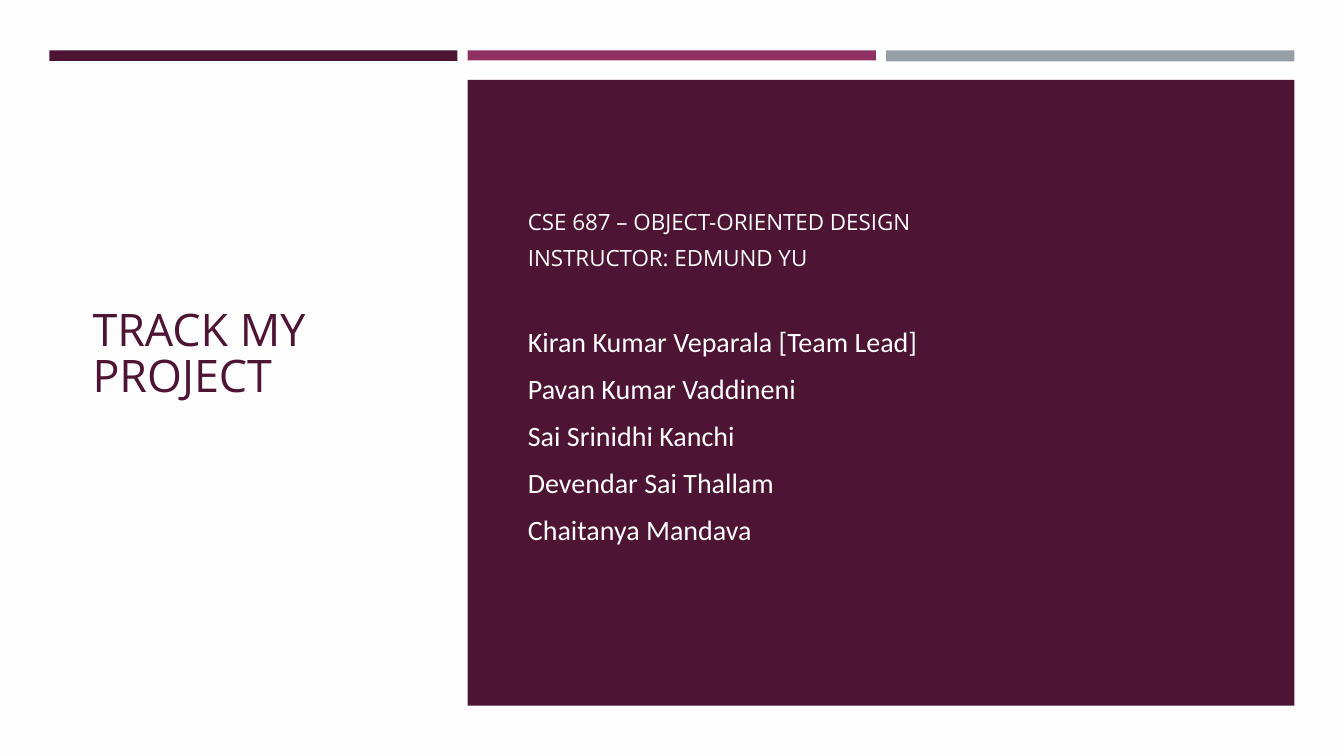
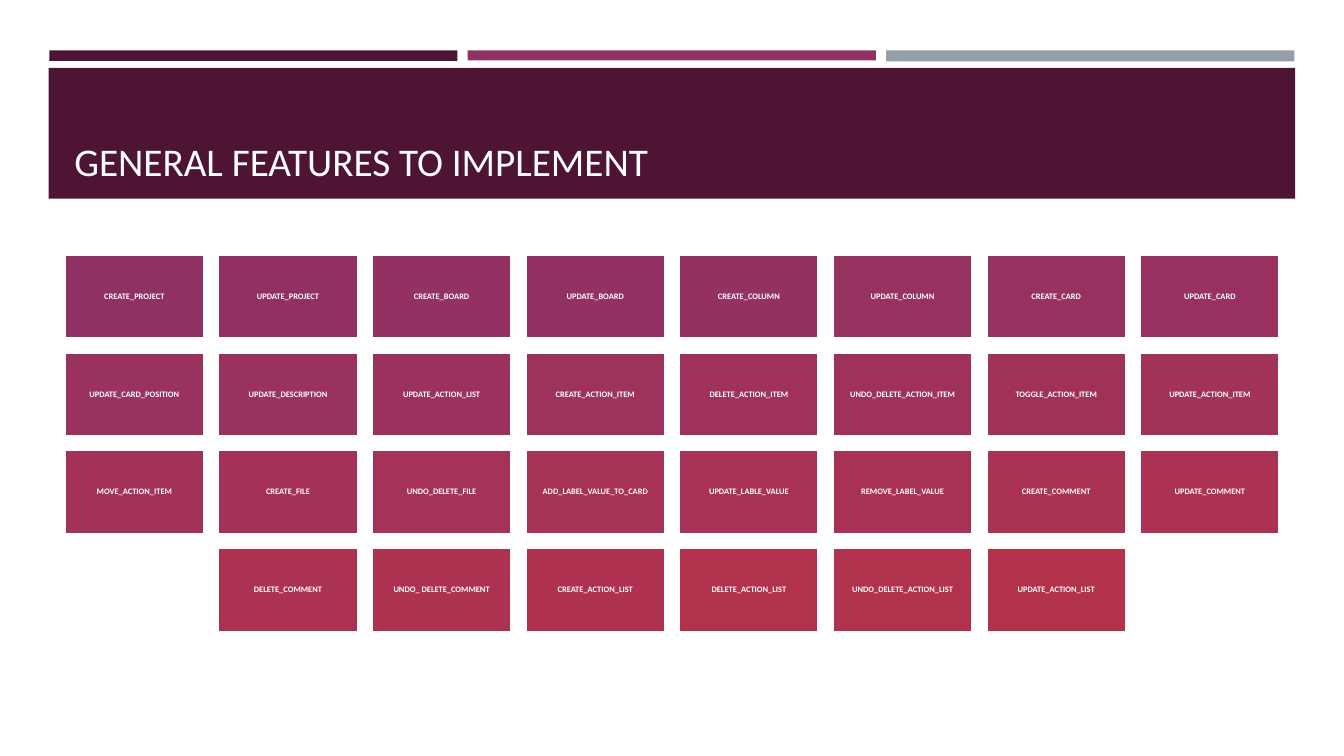
import colorsys

from pptx import Presentation
from pptx.dml.color import RGBColor
from pptx.enum.shapes import MSO_SHAPE
from pptx.enum.text import MSO_ANCHOR, PP_ALIGN
from pptx.util import Pt

RECTANGLE = MSO_SHAPE.RECTANGLE
MIDDLE, BOTTOM = MSO_ANCHOR.MIDDLE, MSO_ANCHOR.BOTTOM
LEFT, CENTER = PP_ALIGN.LEFT, PP_ALIGN.CENTER

PLUM = RGBColor(0x4D, 0x14, 0x34)
MAGENTA = RGBColor(0x90, 0x31, 0x63)
CRIMSON = RGBColor(0xB2, 0x32, 0x4B)
GREY = RGBColor(0x96, 0x9F, 0xA7)
WHITE = RGBColor(0xFF, 0xFF, 0xFF)
OFF_WHITE = RGBColor(0xFF, 0xFE, 0xFF)

BODY_FONT, DISPLAY_FONT = "Calibri", "Open Sans"
BAND_LEFT, BAND_TOP, BAND_WIDTH, BAND_STEP = 35.2, 36, 291.6, 298.9


def add_block(page, left, top, width, height, color):
    block = page.shapes.add_shape(RECTANGLE, Pt(left), Pt(top), Pt(width), Pt(height))
    block.shadow.inherit = False
    block.fill.solid()
    block.fill.fore_color.rgb = color
    block.line.fill.background()
    return block


def write(box, lines, anchor, align=LEFT):
    """Each line is (text, font name, size, colour, space before)."""
    frame = box.text_frame
    frame.word_wrap = True
    frame.vertical_anchor = anchor
    for index, (text, font_name, size, color, gap) in enumerate(lines):
        para = frame.add_paragraph() if index else frame.paragraphs[0]
        para.text = text
        para.alignment = align
        para.space_before = Pt(gap)
        para.font.name = font_name
        para.font.size = Pt(size)
        para.font.color.rgb = color
    return frame


deck = Presentation()
deck.slide_width, deck.slide_height = Pt(960), Pt(540)
cover, features = [deck.slides.add_slide(deck.slide_layouts[6]) for _ in range(2)]

# Three bands across the top of every slide
for page in (cover, features):
    for column, (color, height) in enumerate([(PLUM, 7.5), (MAGENTA, 7.2), (GREY, 7.9)]):
        add_block(page, BAND_LEFT + column * BAND_STEP, BAND_TOP, BAND_WIDTH, height, color)

# Cover: title on the left, course and team on the panel
cover.background.fill.solid()
cover.background.fill.fore_color.rgb = OFF_WHITE
add_block(cover, BAND_LEFT + BAND_STEP, 57, BAND_STEP + BAND_WIDTH, 447, PLUM)

title = cover.shapes.add_textbox(Pt(59), Pt(84), Pt(240), Pt(340))
frame = write(title, [("TRACK MY PROJECT", DISPLAY_FONT, 32, PLUM, 0)], MIDDLE)
frame.paragraphs[0].line_spacing = 0.87

course = ["CSE 687 – OBJECT-ORIENTED DESIGN", "INSTRUCTOR: EDMUND YU"]
team = [
    "Kiran Kumar Veparala [Team Lead]",
    "Pavan Kumar Vaddineni",
    "Sai Srinidhi Kanchi",
    "Devendar Sai Thallam",
    "Chaitanya Mandava",
]
lines = [(text, DISPLAY_FONT, 16, WHITE, 6 if index else 0) for index, text in enumerate(course)]
lines += [(text, BODY_FONT, 20, WHITE, 9.6 if index else 38.4) for index, text in enumerate(team)]
details = cover.shapes.add_textbox(Pt(370), Pt(84), Pt(520), Pt(371))
write(details, lines, MIDDLE)

# Features: title bar
add_block(features, 34.8, 48.5, 890.4, 93.5, PLUM)
heading = features.shapes.add_textbox(Pt(46), Pt(55.5), Pt(868), Pt(80))
write(heading, [("GENERAL FEATURES TO IMPLEMENT", BODY_FONT, 28, OFF_WHITE, 0)], BOTTOM)

# Features: grid of tiles, each row centred, colours running from magenta to crimson
TILE_LEFT, TILE_TOP, TILE_WIDTH, TILE_HEIGHT = 46, 182, 99.8, 59.9
STEP_X, STEP_Y, COLUMNS = 109.75, 69.8, 8
tile_rows = [
    ["CREATE_PROJECT", "UPDATE_PROJECT", "CREATE_BOARD", "UPDATE_BOARD",
     "CREATE_COLUMN", "UPDATE_COLUMN", "CREATE_CARD", "UPDATE_CARD"],
    ["UPDATE_CARD_POSITION", "UPDATE_DESCRIPTION", "UPDATE_ACTION_LIST", "CREATE_ACTION_ITEM",
     "DELETE_ACTION_ITEM", "UNDO_DELETE_ACTION_ITEM", "TOGGLE_ACTION_ITEM", "UPDATE_ACTION_ITEM"],
    ["MOVE_ACTION_ITEM", "CREATE_FILE", "UNDO_DELETE_FILE", "ADD_LABEL_VALUE_TO_CARD",
     "UPDATE_LABLE_VALUE", "REMOVE_LABEL_VALUE", "CREATE_COMMENT", "UPDATE_COMMENT"],
    ["DELETE_COMMENT", "UNDO_ DELETE_COMMENT", "CREATE_ACTION_LIST", "DELETE_ACTION_LIST",
     "UNDO_DELETE_ACTION_LIST", "UPDATE_ACTION_LIST"],
]
first_hls, last_hls = [
    colorsys.rgb_to_hls(*(channel / 255 for channel in color)) for color in (MAGENTA, CRIMSON)
]
last_tile = sum(len(names) for names in tile_rows) - 1

for row, names in enumerate(tile_rows):
    indent = (COLUMNS - len(names)) / 2
    for column, name in enumerate(names):
        share = (row * COLUMNS + column) / last_tile
        hls = [start + (end - start) * share for start, end in zip(first_hls, last_hls)]
        color = RGBColor(*(round(channel * 255) for channel in colorsys.hls_to_rgb(*hls)))
        tile = add_block(features, TILE_LEFT + (indent + column) * STEP_X,
                         TILE_TOP + row * STEP_Y, TILE_WIDTH, TILE_HEIGHT, color)
        tile.line.color.rgb = WHITE
        tile.line.width = Pt(1.75)
        frame = write(tile, [(name, BODY_FONT, 6, WHITE, 0)], MIDDLE, CENTER)
        frame.margin_left = frame.margin_right = Pt(2)
        frame.margin_top = frame.margin_bottom = Pt(2)
        frame.paragraphs[0].line_spacing = 0.9
        frame.paragraphs[0].font.bold = True

deck.save("out.pptx")
